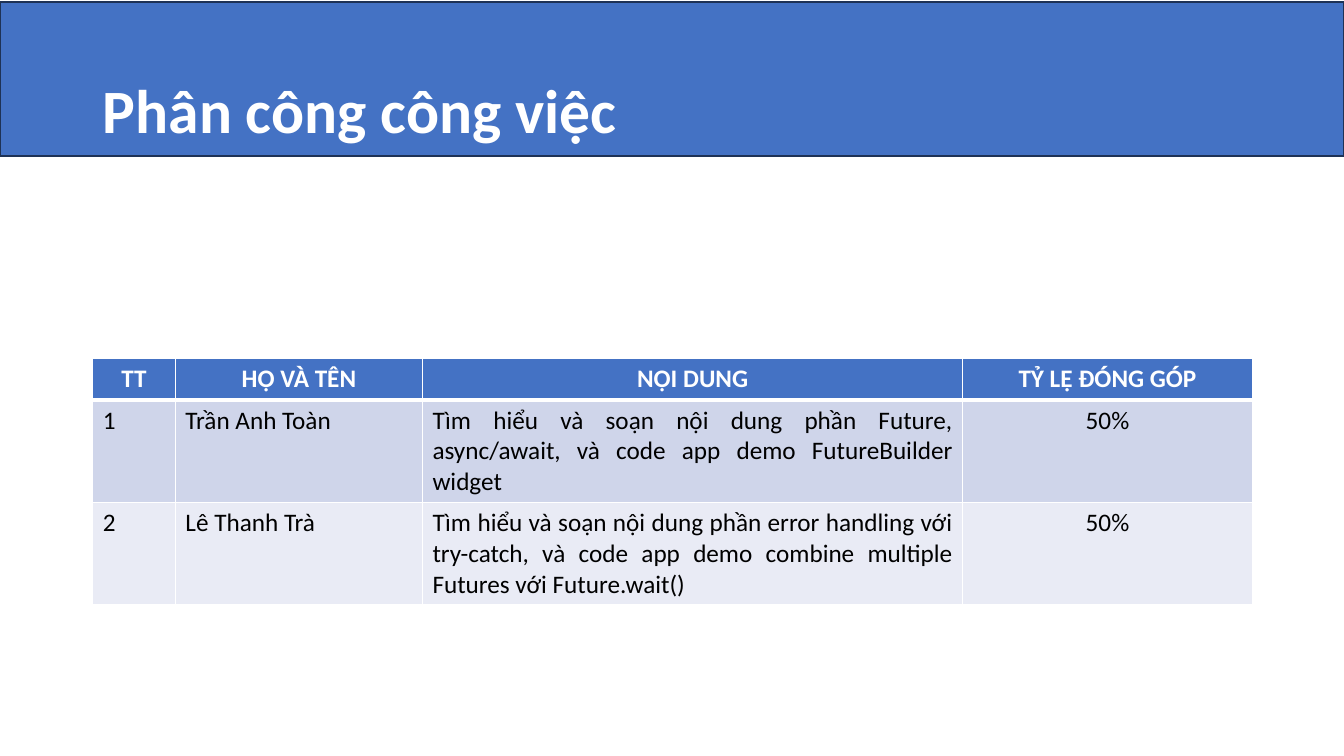
from dataclasses import dataclass

from lxml import etree
from pptx import Presentation
from pptx import util as u
from pptx.dml.color import RGBColor
from pptx.enum import shapes, text
from pptx.oxml import ns

COLORS = {
    "blue": "4472C4",
    "navy": "1E3256",
    "white": "FFFFFF",
    "black": "000000",
    "odd": "CFD5EA",
    "even": "E9EBF5",
}
FONT = "Calibri"
ALIGN = text.PP_ALIGN


@dataclass(frozen=True)
class Column:
    heading: str
    width: float
    align: ALIGN


@dataclass(frozen=True)
class Assignment:
    number: str
    member: str
    work: str
    share: str

    def entries(self) -> list[str]:
        return [self.number, self.member, self.work, self.share]


COLUMNS = [
    Column("TT", 0.82, ALIGN.LEFT),
    Column("HỌ VÀ TÊN", 2.45, ALIGN.LEFT),
    Column("NỘI DUNG", 5.36, ALIGN.JUSTIFY),
    Column("TỶ LỆ ĐÓNG GÓP", 2.87, ALIGN.CENTER),
]
ASSIGNMENTS = [
    Assignment("1", "Trần Anh Toàn",
               "Tìm hiểu và soạn nội dung phần Future, async/await, "
               "và code app demo FutureBuilder widget", "50%"),
    Assignment("2", "Lê Thanh Trà",
               "Tìm hiểu và soạn nội dung phần error handling với try-catch, "
               "và code app demo combine multiple Futures với Future.wait()", "50%"),
]
HEADING_HEIGHT = 0.41
ASSIGNMENT_HEIGHT = 1.0


def rgb(name: str) -> RGBColor:
    return RGBColor.from_string(COLORS[name])


def add_run(paragraph, wording: str, size: int, color: str, bold: bool) -> None:
    run = paragraph.add_run()
    run.text = wording
    run.font.name = FONT
    run.font.size = u.Pt(size)
    run.font.bold = bold
    run.font.color.rgb = rgb(color)


def add_borders(cell, top: int, bottom: int) -> None:
    properties = cell._tc.get_or_add_tcPr()
    for side, points in (("L", 1), ("R", 1), ("T", top), ("B", bottom)):
        border = etree.SubElement(properties, ns.qn(f"a:ln{side}"), w=str(u.Pt(points)))
        fill = etree.SubElement(border, ns.qn("a:solidFill"))
        etree.SubElement(fill, ns.qn("a:srgbClr"), val=COLORS["white"])


def fill_cell(cell, wording: str, align: ALIGN, row: int) -> None:
    is_heading = row == 0
    add_borders(cell, top=3 if row == 1 else 1, bottom=3 if is_heading else 1)
    cell.fill.solid()
    background = "blue" if is_heading else ("odd" if row % 2 else "even")
    cell.fill.fore_color.rgb = rgb(background)
    paragraph = cell.text_frame.paragraphs[0]
    paragraph.alignment = ALIGN.CENTER if is_heading else align
    add_run(paragraph, wording, 18, "white" if is_heading else "black", is_heading)


def add_heading(slide) -> None:
    band = slide.shapes.add_shape(
        shapes.MSO_SHAPE.RECTANGLE,
        u.Inches(0), u.Inches(0.02), u.Inches(13.33), u.Inches(1.53))
    band.shadow.inherit = False
    band.fill.solid()
    band.fill.fore_color.rgb = rgb("blue")
    band.line.color.rgb = rgb("navy")
    band.line.width = u.Pt(1)

    title = slide.shapes.title
    title.element.addprevious(band.element)
    title.left, title.top = u.Inches(0.92), u.Inches(0.4)
    title.width, title.height = u.Inches(11.5), u.Inches(1.45)
    frame = title.text_frame
    frame.word_wrap = True
    frame.auto_size = text.MSO_AUTO_SIZE.NONE
    frame.vertical_anchor = text.MSO_ANCHOR.MIDDLE
    paragraph = frame.paragraphs[0]
    paragraph.alignment = ALIGN.LEFT
    paragraph.line_spacing = 0.9
    add_run(paragraph, "Phân công công việc", 44, "white", True)


def add_assignments(slide) -> None:
    rows = [[column.heading for column in COLUMNS]]
    rows += [assignment.entries() for assignment in ASSIGNMENTS]
    heights = [HEADING_HEIGHT] + [ASSIGNMENT_HEIGHT] * len(ASSIGNMENTS)
    table = slide.shapes.add_table(
        len(rows), len(COLUMNS), u.Inches(0.92), u.Inches(3.56),
        u.Inches(sum(column.width for column in COLUMNS)),
        u.Inches(sum(heights))).table
    for index, column in enumerate(COLUMNS):
        table.columns[index].width = u.Inches(column.width)
    for row, (entries, height) in enumerate(zip(rows, heights)):
        table.rows[row].height = u.Inches(height)
        for index, (wording, column) in enumerate(zip(entries, COLUMNS)):
            fill_cell(table.cell(row, index), wording, column.align, row)


def main() -> None:
    presentation = Presentation()
    presentation.slide_width = u.Inches(13.33)
    presentation.slide_height = u.Inches(7.5)
    slide = presentation.slides.add_slide(presentation.slide_layouts[5])
    add_heading(slide)
    add_assignments(slide)
    presentation.save("out.pptx")


if __name__ == "__main__":
    main()
